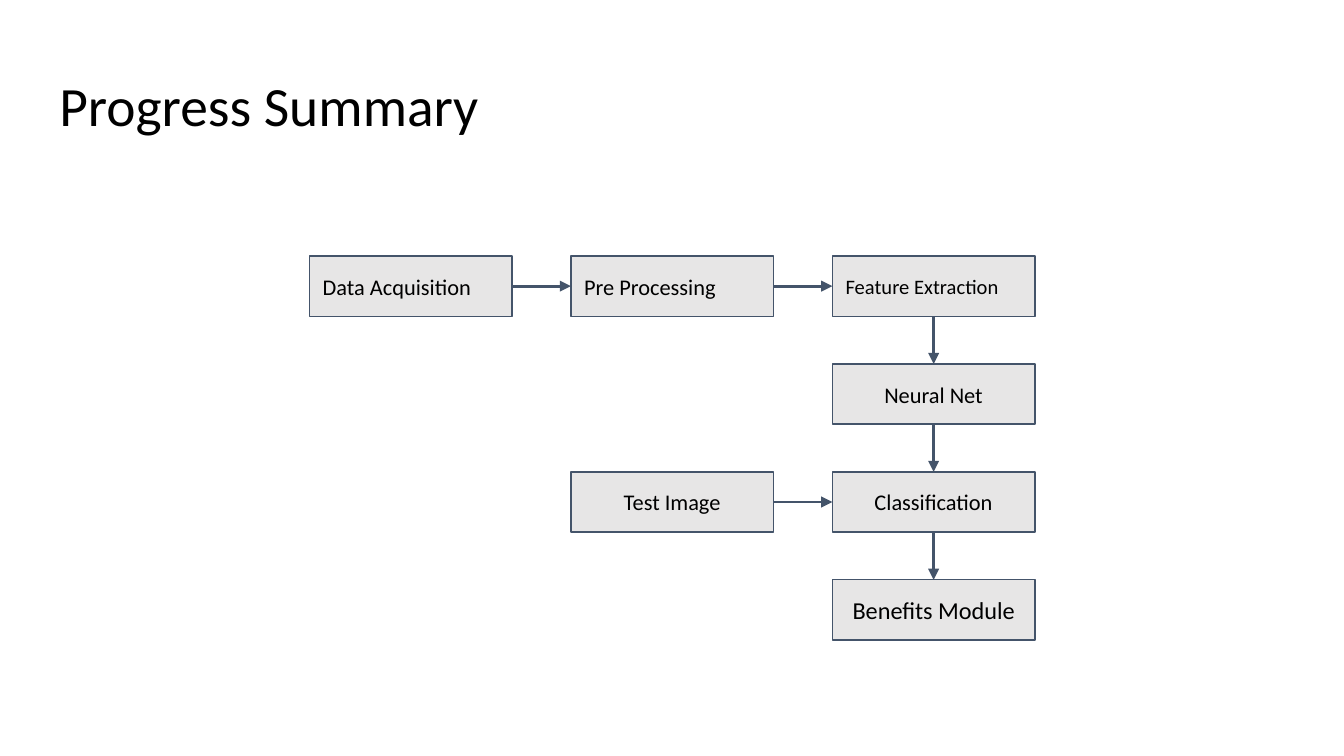
from dataclasses import dataclass

from lxml.etree import SubElement
from pptx import Presentation
from pptx.dml.color import RGBColor
from pptx.enum.shapes import MSO_CONNECTOR, MSO_SHAPE
from pptx.enum.text import MSO_ANCHOR, MSO_AUTO_SIZE, PP_ALIGN
from pptx.oxml.ns import qn
from pptx.util import Cm, Pt


@dataclass(frozen=True)
class Theme:
    font: str = "Calibri"
    ink: RGBColor = RGBColor(0x00, 0x00, 0x00)
    box_fill: RGBColor = RGBColor(0xE7, 0xE6, 0xE6)
    outline: RGBColor = RGBColor(0x44, 0x54, 0x6A)
    title_size: float = 29.7
    step_size: float = 12
    small_step_size: float = 11
    large_step_size: float = 13
    box_line: float = 0.75
    arrow_line: float = 1.5


THEME = Theme()

# Flowchart grid, in centimetres
GRID_LEFT, GRID_TOP = 5.85, 4.84
COLUMN_PITCH, ROW_PITCH = 4.94, 2.04
BOX_WIDTH, BOX_HEIGHT = 3.83, 1.14
INSET = 0.25

# Connection sites of a rectangle
TOP, LEFT, BOTTOM, RIGHT = range(4)


def write_text(frame, text, *, size, align=PP_ALIGN.LEFT,
               anchor=MSO_ANCHOR.MIDDLE, line_spacing=1.0):
    frame.auto_size = MSO_AUTO_SIZE.NONE
    frame.word_wrap = True
    frame.vertical_anchor = anchor
    frame.margin_left = frame.margin_right = Cm(INSET)
    frame.margin_top = frame.margin_bottom = Cm(INSET)
    paragraph = frame.paragraphs[0]
    paragraph.alignment = align
    paragraph.line_spacing = line_spacing
    run = paragraph.add_run()
    run.text = text
    run.font.name = THEME.font
    run.font.size = Pt(size)
    run.font.color.rgb = THEME.ink


class FlowSlide:
    """Holds the style and the slide being built."""

    def __init__(self, presentation, theme):
        self.theme = theme
        self.slide = presentation.slides.add_slide(presentation.slide_layouts[5])

    def title(self, text):
        heading = self.slide.shapes.title
        heading.left, heading.top = Cm(0.87), Cm(1.24)
        heading.width, heading.height = Cm(23.67), Cm(1.6)
        write_text(heading.text_frame, text, size=self.theme.title_size,
                   anchor=MSO_ANCHOR.TOP, line_spacing=0.9)

    def step(self, text, column, row, size, align):
        box = self.slide.shapes.add_shape(
            MSO_SHAPE.RECTANGLE,
            Cm(GRID_LEFT + column * COLUMN_PITCH),
            Cm(GRID_TOP + row * ROW_PITCH),
            Cm(BOX_WIDTH), Cm(BOX_HEIGHT))
        box.shadow.inherit = False
        box.fill.solid()
        box.fill.fore_color.rgb = self.theme.box_fill
        box.line.color.rgb = self.theme.outline
        box.line.width = Pt(self.theme.box_line)
        write_text(box.text_frame, text, size=size, align=align)
        return box

    def arrow(self, source, source_site, target, target_site):
        link = self.slide.shapes.add_connector(MSO_CONNECTOR.STRAIGHT, 0, 0, 0, 0)
        link.begin_connect(source, source_site)
        link.end_connect(target, target_site)
        link.line.color.rgb = self.theme.outline
        link.line.width = Pt(self.theme.arrow_line)
        properties = link.element.spPr
        SubElement(properties.find(qn("a:ln")), qn("a:tailEnd"), type="triangle")
        SubElement(properties, qn("a:effectLst"))


def main():
    presentation = Presentation()
    presentation.slide_width, presentation.slide_height = Cm(25.4), Cm(14.29)
    progress = FlowSlide(presentation, THEME)
    progress.title("Progress Summary")

    # Steps: text, column, row, type size, alignment
    normal, small, large = THEME.step_size, THEME.small_step_size, THEME.large_step_size
    steps = [
        ("Data Acquisition", 0, 0, normal, PP_ALIGN.LEFT),
        ("Pre Processing", 1, 0, normal, PP_ALIGN.LEFT),
        ("Feature Extraction", 2, 0, small, PP_ALIGN.LEFT),
        ("Neural Net", 2, 1, normal, PP_ALIGN.CENTER),
        ("Classification", 2, 2, normal, PP_ALIGN.CENTER),
        ("Benefits Module", 2, 3, large, PP_ALIGN.CENTER),
        ("Test Image", 1, 2, normal, PP_ALIGN.CENTER),
    ]
    boxes = {step[0]: progress.step(*step) for step in steps}

    # Arrows across the rows and down the last column
    across, down = (RIGHT, LEFT), (BOTTOM, TOP)
    flows = [
        ("Data Acquisition", "Pre Processing", across),
        ("Pre Processing", "Feature Extraction", across),
        ("Feature Extraction", "Neural Net", down),
        ("Neural Net", "Classification", down),
        ("Classification", "Benefits Module", down),
        ("Test Image", "Classification", across),
    ]
    for source, target, (start, end) in flows:
        progress.arrow(boxes[source], start, boxes[target], end)

    presentation.save("out.pptx")


if __name__ == "__main__":
    main()
